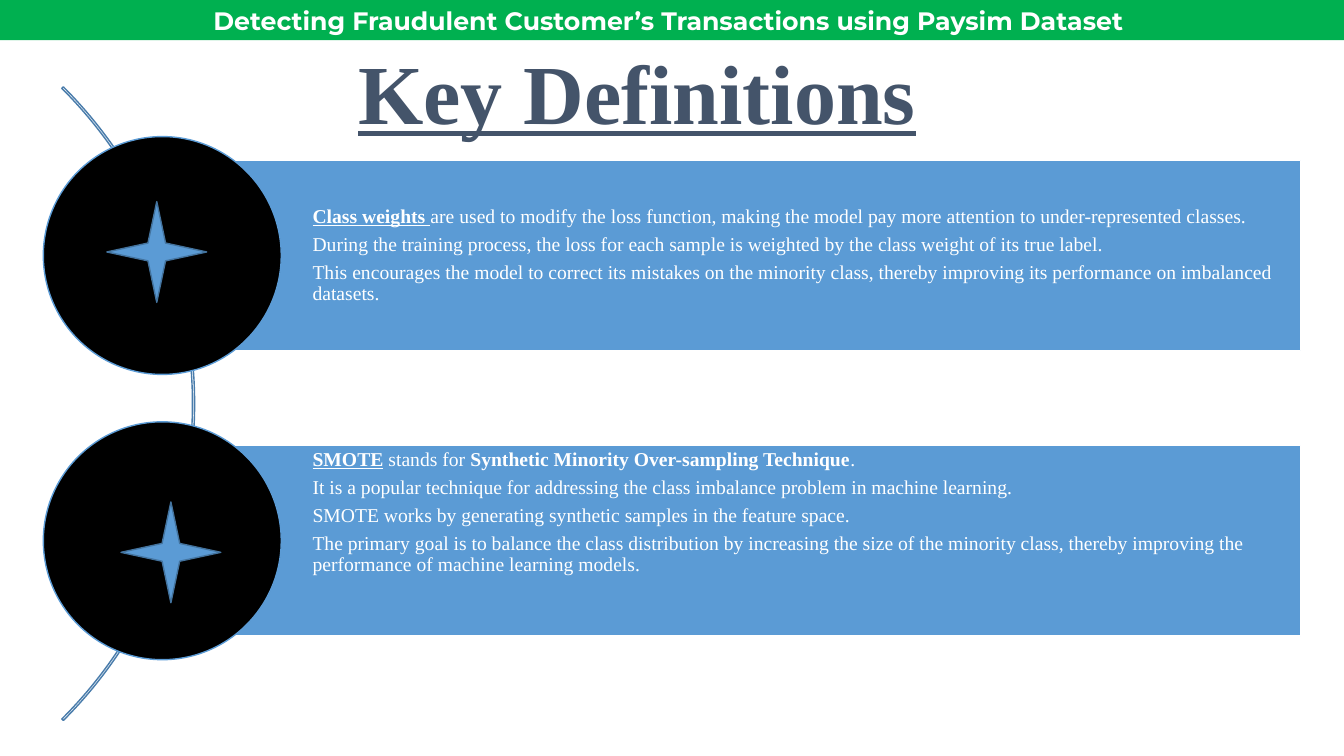
"""Builds the Key Definitions slide with two definition bands on an arc."""
import pptx
import pptx.util
import pptx.dml.color
import pptx.enum.shapes
import pptx.enum.text

Inches, Pt = pptx.util.Inches, pptx.util.Pt
SHAPE = pptx.enum.shapes.MSO_SHAPE
ANCHOR = pptx.enum.text.MSO_ANCHOR
ALIGN = pptx.enum.text.PP_ALIGN

COLOURS = {"green": "00B050", "blue": "5B9BD5", "edge": "43739E", "arc": "497CAB",
           "black": "000000", "white": "FFFFFF", "slate": "44546A"}
SERIF = "Times New Roman"
HEADER = "Detecting Fraudulent Customer’s Transactions using Paysim Dataset "
TITLE = "Key Definitions"
DEFINITIONS = [
    {"anchor": ANCHOR.MIDDLE, "star": (1.06, 2.0), "lines": [
        [("Class weights ", "bu"),
         ("are used to modify the loss function, making the model pay more attention "
          "to under-represented classes.", "")],
        [("During the training process, the loss for each sample is weighted by the "
          "class weight of its true label.", "")],
        [("This encourages the model to correct its mistakes on the minority class, "
          "thereby improving its performance on imbalanced datasets.", "")]]},
    {"anchor": ANCHOR.TOP, "star": (1.2, 4.98), "lines": [
        [("SMOTE", "bu"), (" stands for ", ""),
         ("Synthetic Minority Over-sampling Technique", "b"), (".", "")],
        [("It is a popular technique for addressing the class imbalance problem in "
          "machine learning.", "")],
        [("SMOTE works by generating synthetic samples in the feature space.", "")],
        [("The primary goal is to balance the class distribution by increasing the size "
          "of the minority class, thereby improving the performance of machine "
          "learning models.", "")]]},
]
BAND_LEFT, BAND_TOP, BAND_WIDTH, BAND_HEIGHT = 1.6, 1.59, 11.3, 1.89
BAND_PITCH = 2.83
CIRCLE = 2.36


def rgb(name):
    return pptx.dml.color.RGBColor.from_string(COLOURS[name])


def add_shape(page, kind, place, fill=None, line=None):
    shape = page.shapes.add_shape(kind, *map(Inches, place))
    shape.shadow.inherit = False
    if fill:
        shape.fill.solid()
        shape.fill.fore_color.rgb = rgb(fill)
    else:
        shape.fill.background()
    if line:
        shape.line.color.rgb = rgb(line)
        shape.line.width = Pt(1)
    else:
        shape.line.fill.background()
    return shape


def set_frame(box, margins, anchor):
    frame = box.text_frame
    frame.word_wrap = True
    frame.vertical_anchor = anchor
    (frame.margin_left, frame.margin_top,
     frame.margin_right, frame.margin_bottom) = map(Inches, margins)
    return frame


def style(font, name, size, colour, bold, underline=False):
    font.name, font.size = name, Pt(size)
    font.color.rgb = rgb(colour)
    font.bold, font.underline = bold, underline


def write_line(box, text, font_name, size, colour, underline, margins):
    frame = set_frame(box, margins, ANCHOR.MIDDLE)
    frame.text = text
    para = frame.paragraphs[0]
    para.alignment = ALIGN.CENTER
    style(para.runs[0].font, font_name, size, colour, True, underline)
    return para


def write_definition(band, definition):
    frame = set_frame(band, (1.5, 0.04, 0.04, 0.04), definition["anchor"])
    for index, line in enumerate(definition["lines"]):
        para = frame.add_paragraph() if index else frame.paragraphs[0]
        para.alignment = ALIGN.LEFT
        para.line_spacing = 0.9
        para.space_after = Pt(4.9)
        for text, marks in line:
            span = para.add_run()
            span.text = text
            style(span.font, SERIF, 14, "white", "b" in marks, "u" in marks)


def main():
    deck = pptx.Presentation()
    deck.slide_width, deck.slide_height = Inches(13.33), Inches(7.5)
    page = deck.slides.add_slide(deck.slide_layouts[6])

    title = page.shapes.add_textbox(*map(Inches, (2.35, 0.52, 7.94, 0.88)))
    write_line(title, TITLE, SERIF, 60, "slate", True, [0.13] * 4).line_spacing = 0.9

    arc = add_shape(page, SHAPE.BLOCK_ARC, (-6.96, -0.44, 8.89, 8.89), line="arc")
    for index, value in enumerate((189, 27, 0.0024)):
        arc.adjustments[index] = value

    for index, definition in enumerate(DEFINITIONS):
        top = BAND_TOP + index * BAND_PITCH
        band = add_shape(page, SHAPE.RECTANGLE, (BAND_LEFT, top, BAND_WIDTH, BAND_HEIGHT),
                         "blue", "white")
        write_definition(band, definition)
        circle_place = (BAND_LEFT + 0.01 - CIRCLE / 2, top + (BAND_HEIGHT - CIRCLE) / 2,
                        CIRCLE, CIRCLE)
        add_shape(page, SHAPE.OVAL, circle_place, "black", "blue")
    for definition in DEFINITIONS:
        add_shape(page, SHAPE.STAR_4_POINT, (*definition["star"], 0.99, 1), "blue", "edge")

    header = add_shape(page, SHAPE.RECTANGLE, (0, 0, 13.33, 0.4), "green")
    write_line(header, HEADER, "Montserrat", 18, "white", False, (0.1, 0.05, 0.1, 0.05))
    deck.save("out.pptx")


if __name__ == "__main__":
    main()
